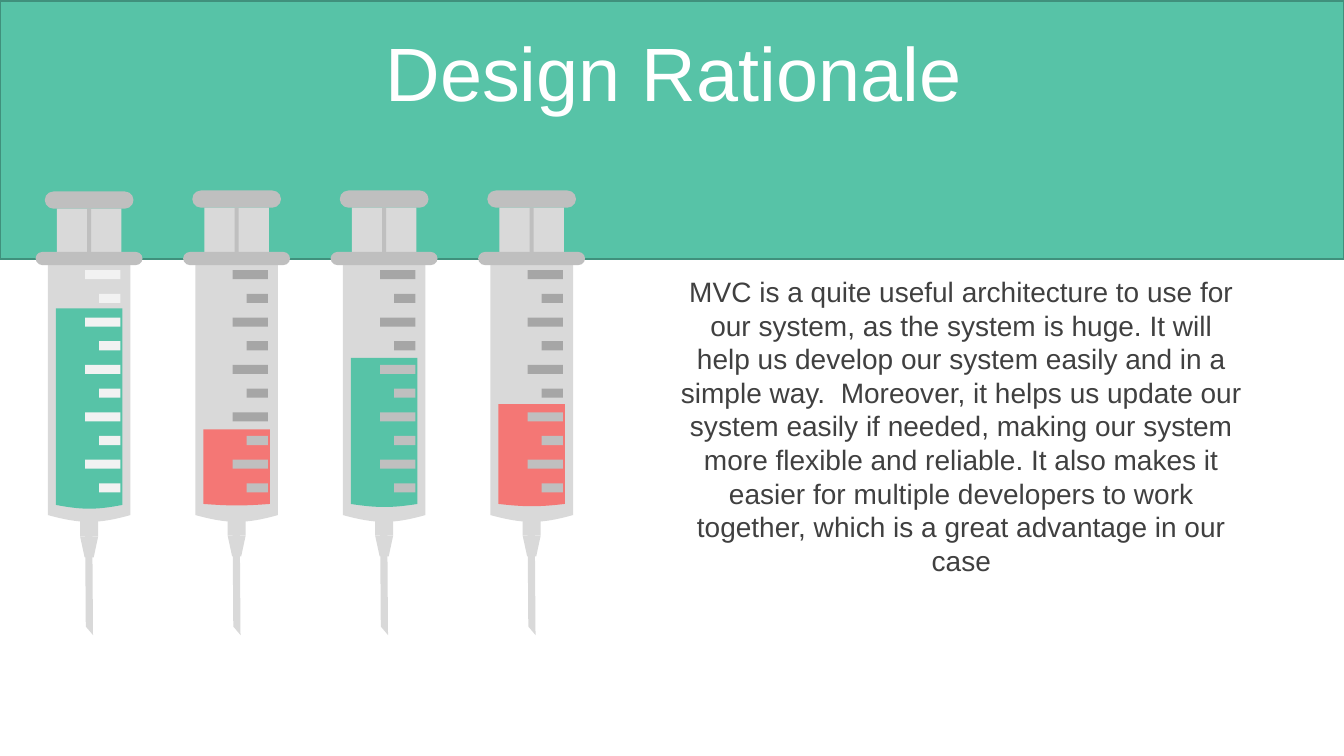
from lxml import etree
from pptx import Presentation
from pptx import util as u
from pptx.dml.color import RGBColor
from pptx.enum import shapes, text
from pptx.oxml import ns

TITLE = "Design Rationale"
BODY = (
    "MVC is a quite useful architecture to use for our system, as the system is huge. "
    "It will help us develop our system easily and in a simple way.  Moreover, it helps us "
    "update our system easily if needed, making our system more flexible and reliable. "
    "It also makes it easier for multiple developers to work together, which is a great "
    "advantage in our case"
)
COLORS = {
    "green": "57C3A7", "edge": "40907C", "coral": "F47775", "white": "FFFFFF",
    "glass": "D9D9D9", "rim": "BFBFBF", "mark": "A6A6A6", "pale": "F2F2F2",
    "ink": "404040",
}
SYRINGES = [
    {"level": 306, "liquid": "green", "above": "pale", "below": "pale", "drop": 1},
    {"level": 426, "liquid": "coral", "above": "mark", "below": "rim", "drop": 0},
    {"level": 355, "liquid": "green", "above": "mark", "below": "rim", "drop": 0},
    {"level": 401, "liquid": "coral", "above": "mark", "below": "rim", "drop": 0},
]
PX = 9144
FIRST_LEFT, PITCH = 35.4, 146.3
MARK_COUNT, MARK_TOP, MARK_STEP, MARK_RIGHT = 10, 268, 23.5, 84
LIQUID_BOTTOM = 500
KIND = shapes.MSO_SHAPE

deck = Presentation()
deck.slide_width, deck.slide_height = 1333 * PX, 750 * PX
page = deck.slides.add_slide(deck.slide_layouts[6])


def emu(*lengths):
    return [round(length * PX) for length in lengths]


def color(name):
    return RGBColor.from_string(COLORS[name])


def paint(shape, fill):
    shape.shadow.inherit = False
    shape.fill.solid()
    shape.fill.fore_color.rgb = color(fill)
    shape.line.fill.background()
    return shape


def add_part(target, kind, left, top, width, height, fill, rotation=0, adjust=None):
    part = target.add_shape(kind, *emu(left, top, width, height))
    part.rotation = rotation
    if adjust is not None:
        part.adjustments[0] = adjust
    return paint(part, fill)


def add_vessel(target, left, top, width, bottom, sag, fill):
    wide, tall, depth = emu(width, bottom - top, sag)
    x, y = emu(left, top)
    builder = target.build_freeform(x, y, scale=1.0)
    builder.add_line_segments([(x + wide, y), (x + wide, y + tall), (x, y + tall)], close=True)
    vessel = paint(builder.convert_to_shape(), fill)
    full = tall + round(depth * 0.75)
    vessel.height = full
    outline = vessel._element.find(".//" + ns.qn("a:path"))
    outline.set("h", str(full))
    base = outline.findall(ns.qn("a:lnTo"))[2]
    curve = etree.Element(ns.qn("a:cubicBezTo"))
    for px, py in ((0.61 * wide, tall + depth), (0.4 * wide, tall + depth), (0, tall)):
        etree.SubElement(curve, ns.qn("a:pt"), x=str(round(px)), y=str(round(py)))
    outline.replace(base, curve)


def add_syringe(left, level, liquid, above, below, drop):
    group = page.shapes.add_group_shape().shapes
    floor = LIQUID_BOTTOM + drop
    add_part(group, KIND.DIAGONAL_STRIPE, left + 23, 537, 67, 81, "glass", 320, 0.863)
    add_vessel(group, left + 12, 262, 82, 511, 9, "glass")
    add_part(group, KIND.ROUNDED_RECTANGLE, left + 9, 189 + drop, 88, 17, "rim", adjust=0.5)
    add_part(group, KIND.RECTANGLE, left + 21, 206 + drop, 64, 46, "glass")
    add_part(group, KIND.RECTANGLE, left + 44, 514 + drop, 18, 17, "glass")
    add_part(group, KIND.TRAPEZOID, left + 44, 531 + drop, 18, 21, "glass", 180)
    add_part(group, KIND.ROUNDED_RECTANGLE, left, 250, 106, 13, "rim", adjust=0.5)
    add_vessel(group, left + 20, level, 66, floor, (floor - level) // 33, liquid)
    add_part(group, KIND.RECTANGLE, left + 51, 206 + drop, 4, 46, "rim")
    for index in range(MARK_COUNT):
        top = MARK_TOP + index * MARK_STEP
        width = 21 if index % 2 else 35
        fill = below if top > level else above
        add_part(group, KIND.RECTANGLE, left + MARK_RIGHT - width, top, width, 9, fill)


def add_text(words, place, size, ink, insets, anchor, spacing=None):
    box = page.shapes.add_textbox(*emu(*place))
    frame = box.text_frame
    frame.word_wrap = True
    frame.vertical_anchor = anchor
    frame.margin_left, frame.margin_right = emu(*insets)
    frame.text = words
    para = frame.paragraphs[0]
    para.alignment = text.PP_ALIGN.CENTER
    para.line_spacing = spacing
    span = para.runs[0]
    span.font.size = u.Pt(size)
    span.font.name = "Arial"
    span.font.color.rgb = color(ink)
    return frame


banner = add_part(page.shapes, KIND.RECTANGLE, 0, 1, 1333, 256, "green")
banner.line.color.rgb = color("edge")
banner.line.width = u.Pt(1)
add_text(TITLE, (35, 37, 1266, 79), 54, "white", (10, 10), text.MSO_ANCHOR.MIDDLE, 0.9)
for number, syringe in enumerate(SYRINGES):
    add_syringe(FIRST_LEFT + number * PITCH, **syringe)
story = add_text(BODY, (666.5, 267.4, 578, 313), 20, "ink", (8, 12), text.MSO_ANCHOR.TOP)
story.auto_size = text.MSO_AUTO_SIZE.SHAPE_TO_FIT_TEXT

deck.save("out.pptx")
